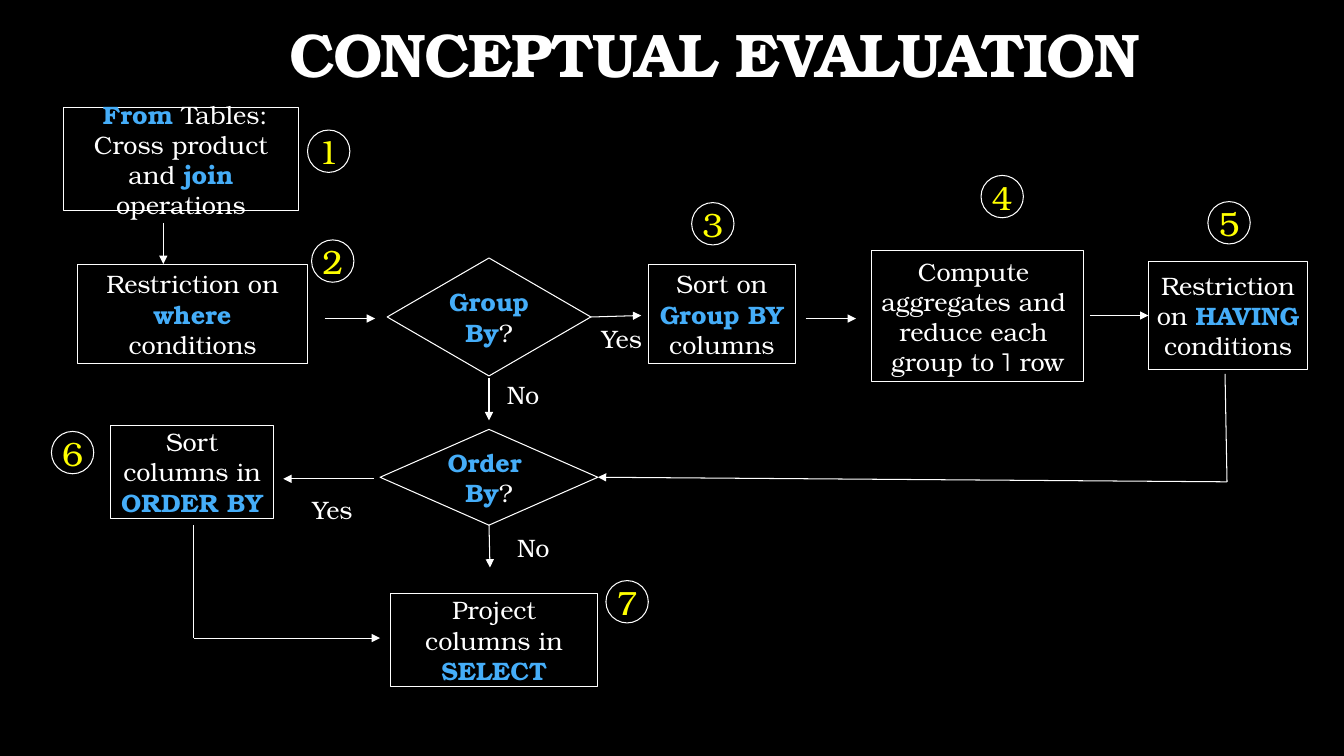
from lxml.etree import SubElement
from pptx import Presentation
from pptx.dml.color import RGBColor
from pptx.enum.shapes import MSO_CONNECTOR, MSO_SHAPE
from pptx.enum.text import MSO_ANCHOR, PP_ALIGN
from pptx.oxml.ns import qn
from pptx.util import Inches, Pt

COLOURS = {"black": "000000", "white": "FFFFFF", "blue": "45ADF8", "yellow": "FFFF00"}
FONT = "TeX Gyre Bonum"


def write(box, text, size=18, colour="white", bold=False, align=PP_ALIGN.CENTER,
          anchor=MSO_ANCHOR.MIDDLE, wrap=True, spacing=None,
          mark_colour="blue", mark_font=FONT, mark_bold=True):
    """Fill a shape, one paragraph per line; words between asterisks get the mark format."""
    frame = box.text_frame
    frame.word_wrap = wrap
    frame.vertical_anchor = anchor
    for number, line in enumerate(text.split("\n")):
        para = frame.add_paragraph() if number else frame.paragraphs[0]
        para.alignment = align
        for index, piece in enumerate(line.split("*")):
            if not piece:
                continue
            marked = index % 2 == 1
            span = para.add_run()
            span.text = piece
            span.font.size = Pt(size)
            span.font.name = mark_font if marked else FONT
            span.font.bold = mark_bold if marked else bold
            shade = COLOURS[mark_colour if marked else colour]
            span.font.color.rgb = RGBColor.from_string(shade)
            if spacing is not None:
                span.font._element.set("spc", str(round(spacing * 100)))


def add_outline(kind, left, top, width, height):
    shape = page.shapes.add_shape(kind, Inches(left), Inches(top), Inches(width), Inches(height))
    shape.shadow.inherit = False
    shape.fill.background()
    shape.line.color.rgb = RGBColor.from_string(COLOURS["white"])
    shape.line.width = Pt(0.75)
    return shape


deck = Presentation()
deck.slide_width = Inches(13.33)
deck.slide_height = Inches(7.5)
page = deck.slides.add_slide(deck.slide_layouts[5])
page.background.fill.solid()
page.background.fill.fore_color.rgb = RGBColor.from_string(COLOURS["black"])

title = page.shapes.title
title.left, title.top = Inches(2.77), Inches(-0.02)
title.width, title.height = Inches(9.41), Inches(1.08)
write(title, "CONCEPTUAL EVALUATION", size=44, bold=True, align=PP_ALIGN.LEFT, spacing=-1.1)

# Steps and decisions
RECT, DIAMOND = MSO_SHAPE.RECTANGLE, MSO_SHAPE.DIAMOND
PLAIN_ONE = {"mark_colour": "white", "mark_font": "Montserrat", "mark_bold": False}
steps = [
    ("from", RECT, 0.63, 1.07, 2.33, 1.02,
     "* From *Tables: Cross product and *join* operations", {}),
    ("where", RECT, 0.77, 2.62, 2.28, 0.99, "Restriction on *where* conditions", {}),
    ("group?", DIAMOND, 3.84, 2.56, 2.02, 1.17, "*Group*\n *By*? ", {"wrap": False}),
    ("order?", DIAMOND, 3.77, 4.26, 2.16, 0.95, "*Order *\n*By*?", {"wrap": False}),
    ("select", RECT, 3.87, 5.89, 2.06, 0.92, "Project columns in *SELECT*", {}),
    ("group", RECT, 6.43, 2.62, 1.46, 0.99, "Sort on *Group BY *columns", {}),
    ("aggregate", RECT, 8.64, 2.49, 2.11, 1.3,
     "Compute \naggregates and \nreduce each \ngroup to *1* row", {"wrap": False, **PLAIN_ONE}),
    ("having", RECT, 11.39, 2.59, 1.58, 1.08,
     "Restriction\non *HAVING*\nconditions", {"wrap": False}),
    ("order", RECT, 1.1, 4.22, 1.61, 0.92, "Sort\ncolumns in\n*ORDER BY*", {"wrap": False}),
]
boxes = {}
for name, kind, left, top, width, height, text, style in steps:
    boxes[name] = add_outline(kind, left, top, width, height)
    write(boxes[name], text, **style)

# Step numbers
badges = [(3.05, 1.29), (3.09, 2.38), (6.86, 2.01), (9.73, 1.74),
          (11.98, 2), (0.51, 4.28), (6.01, 5.76)]
for number, (left, top) in enumerate(badges, start=1):
    badge = add_outline(MSO_SHAPE.OVAL, left, top, 0.42, 0.42)
    write(badge, str(number), size=24, colour="yellow", wrap=False)

# Branch labels
for text, left, top, width in [("Yes", 5.87, 3.16, 0.87), ("No", 4.93, 3.71, 0.79),
                               ("No", 5.03, 5.23, 0.72), ("Yes", 3, 4.86, 0.93)]:
    label = page.shapes.add_textbox(Inches(left), Inches(top), Inches(width), Inches(0.4))
    write(label, text, align=PP_ALIGN.LEFT, anchor=MSO_ANCHOR.TOP)

# Flow lines: start, end, arrowhead, joined start, joined end
flows = [
    (1.62, 2.21, 1.62, 2.62, True, None, None),
    (3.22, 3.16, 3.72, 3.16, True, None, None),
    (5.86, 3.13, 6.36, 3.13, True, ("group?", 3), None),
    (7.99, 3.16, 8.49, 3.16, True, None, None),
    (10.81, 3.13, 11.39, 3.13, True, None, ("having", 1)),
    (12.15, 3.71, 12.17, 4.78, False, None, None),
    (12.17, 4.78, 5.93, 4.75, True, None, ("order?", 3)),
    (4.85, 3.75, 4.85, 4.17, True, None, None),
    (3.71, 4.75, 2.81, 4.75, True, None, None),
    (4.86, 5.21, 4.86, 5.63, True, ("order?", 2), None),
    (1.92, 5.21, 1.92, 6.33, False, None, None),
    (1.92, 6.33, 3.77, 6.33, True, None, None),
]
for x1, y1, x2, y2, arrow, start, end in flows:
    flow = page.shapes.add_connector(MSO_CONNECTOR.STRAIGHT, Inches(x1), Inches(y1),
                                     Inches(x2), Inches(y2))
    flow.line.color.rgb = RGBColor.from_string(COLOURS["white"])
    flow.line.width = Pt(0.75)
    if arrow:
        SubElement(flow.line._get_or_add_ln(), qn("a:tailEnd"), type="triangle")
    SubElement(flow._element.spPr, qn("a:effectLst"))
    if start:
        flow.begin_connect(boxes[start[0]], start[1])
    if end:
        flow.end_connect(boxes[end[0]], end[1])

deck.save("out.pptx")
